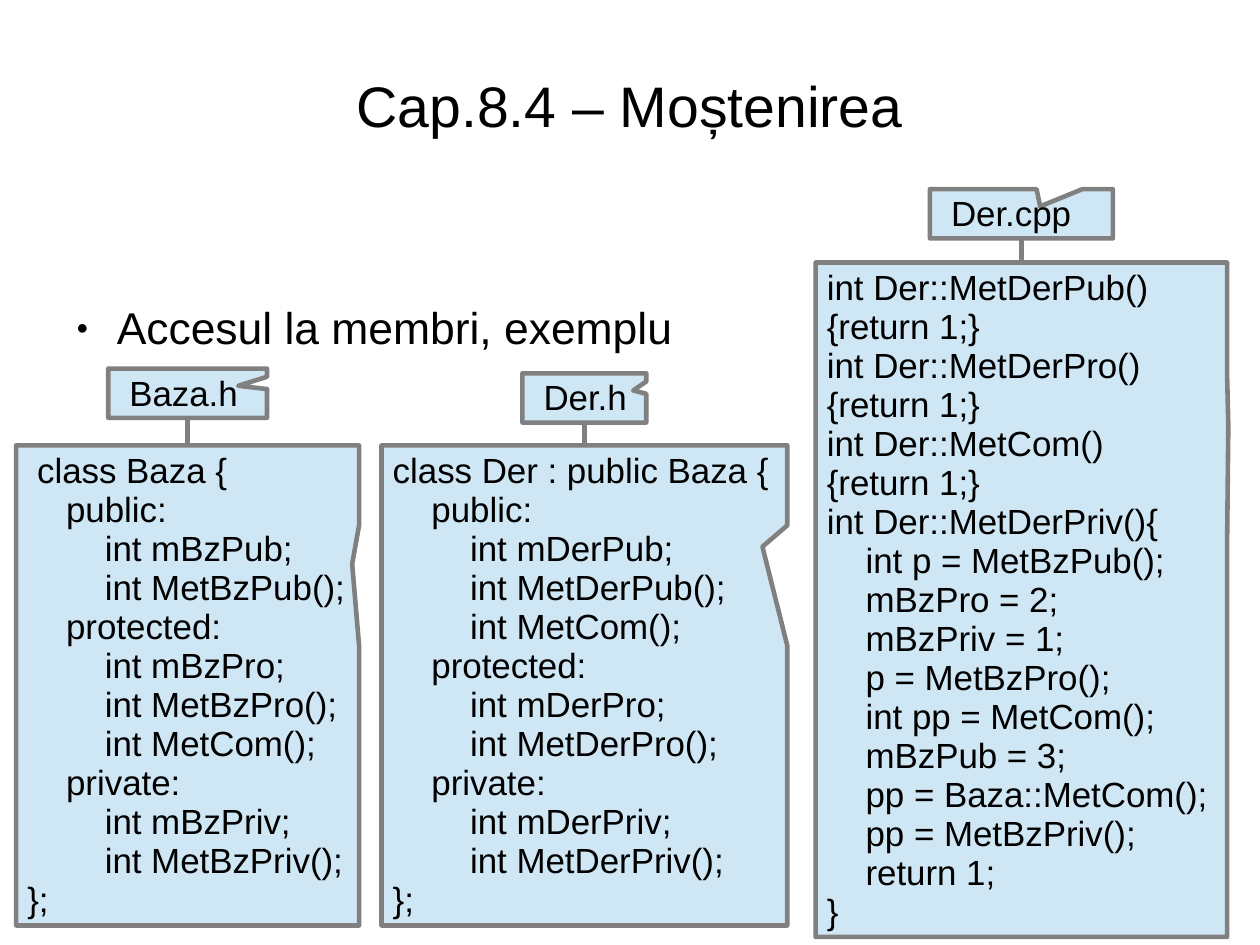
from lxml.etree import SubElement
from pptx import Presentation
from pptx.dml.color import RGBColor
from pptx.enum.shapes import MSO_CONNECTOR, MSO_SHAPE
from pptx.enum.text import MSO_ANCHOR, PP_ALIGN
from pptx.oxml.ns import qn
from pptx.util import Pt


def color(hex_text):
    return RGBColor.from_string(hex_text)


def write(shape, lines, size, margins, anchor=MSO_ANCHOR.MIDDLE, align=PP_ALIGN.LEFT):
    frame = shape.text_frame
    frame.word_wrap = True
    frame.vertical_anchor = anchor
    left, top, right, bottom = margins
    frame.margin_left, frame.margin_top = Pt(left), Pt(top)
    frame.margin_right, frame.margin_bottom = Pt(right), Pt(bottom)
    for index, line in enumerate(lines):
        paragraph = frame.add_paragraph() if index else frame.paragraphs[0]
        paragraph.alignment = align
        paragraph.line_spacing = 0.93
        run = paragraph.add_run()
        run.text = line
        run.font.name = "Arial"
        run.font.size = Pt(size)
        run.font.color.rgb = color("000000")


BASE_HEADER = """ class Baza {
    public:
        int mBzPub;
        int MetBzPub();
    protected:
        int mBzPro;
        int MetBzPro();
        int MetCom();
    private:
        int mBzPriv;
        int MetBzPriv();
};"""

DERIVED_HEADER = """class Der : public Baza {
    public:
        int mDerPub;
        int MetDerPub();
        int MetCom();
    protected:
        int mDerPro;
        int MetDerPro();
    private:
        int mDerPriv;
        int MetDerPriv();
};"""

DERIVED_SOURCE = """int Der::MetDerPub()
{return 1;}
int Der::MetDerPro()
{return 1;}
int Der::MetCom()
{return 1;}
int Der::MetDerPriv(){
    int p = MetBzPub();
    mBzPro = 2;
    mBzPriv = 1;
    p = MetBzPro();
    int pp = MetCom();
    mBzPub = 3;
    pp = Baza::MetCom();
    pp = MetBzPriv();
    return 1;
}"""

LABEL_HEIGHT = 31
LABEL_MARGINS = (13.3, 5, 0, 3.6)
CODE_MARGINS = (7.2, 5, 0, 3.6)

presentation = Presentation()
presentation.slide_width = Pt(793.7)
presentation.slide_height = Pt(595.28)
slide = presentation.slides.add_slide(presentation.slide_layouts[6])

title = slide.shapes.add_textbox(Pt(28), Pt(29.5), Pt(737.3), Pt(75.6))
write(title, ["Cap.8.4 – Moștenirea"], 36, (0, 2, 0, 0), align=PP_ALIGN.CENTER)

topic = slide.shapes.add_textbox(Pt(39.6), Pt(190), Pt(442.8), Pt(36))
write(topic, ["Accesul la membri, exemplu"], 28, (0, 2, 0, 0), MSO_ANCHOR.TOP)
properties = topic.text_frame.paragraphs[0]._p.get_or_add_pPr()
properties.set("marL", str(Pt(34)))
properties.set("indent", str(Pt(-25.5)))
bullet_color = SubElement(properties, qn("a:buClr"))
SubElement(bullet_color, qn("a:srgbClr"), val="000000")
SubElement(properties, qn("a:buSzPct"), val="45000")
SubElement(properties, qn("a:buFont"), typeface="Arial")
SubElement(properties, qn("a:buChar"), char="●")

files = [
    ("Baza.h", 232.2, 100, (0.319, -0.15), BASE_HEADER, (10.2, 280.6, 216, 302.4), (0.48, -0.253)),
    ("Der.h", 235.2, 78, (0.394, -0.15), DERIVED_HEADER, (240.3, 280.6, 255.6, 302.4), (0.439, -0.289)),
    ("Der.cpp", 119.2, 115.2, (0.103, -0.15), DERIVED_SOURCE, (513.8, 165.4, 259.2, 424.8), (0.503, -0.258)),
]

for name, label_top, label_width, label_tip, code, code_box, code_tip in files:
    left, top, width, height = code_box
    center = left + width / 2
    label_box = (center - label_width / 2, label_top, label_width, LABEL_HEIGHT)
    callouts = []
    for box, tip, lines, margins in (
        (label_box, label_tip, [name], LABEL_MARGINS),
        (code_box, code_tip, code.split("\n"), CODE_MARGINS),
    ):
        callout = slide.shapes.add_shape(MSO_SHAPE.RECTANGULAR_CALLOUT, *map(Pt, box))
        callout.shadow.inherit = False
        callout.adjustments[0], callout.adjustments[1] = tip
        callout.fill.solid()
        callout.fill.fore_color.rgb = color("CFE7F5")
        callout.line.color.rgb = color("808080")
        callout.line.width = Pt(2.89)
        write(callout, lines, 22, margins)
        callouts.append(callout)

    label, panel = callouts
    link = slide.shapes.add_connector(
        MSO_CONNECTOR.STRAIGHT, Pt(center), Pt(label_top + LABEL_HEIGHT), Pt(center), Pt(top)
    )
    link.begin_connect(label, 2)
    link.end_connect(panel, 0)
    link.line.color.rgb = color("808080")
    link.line.width = Pt(2.89)
    SubElement(link._element.spPr, qn("a:effectLst"))

presentation.save("out.pptx")
